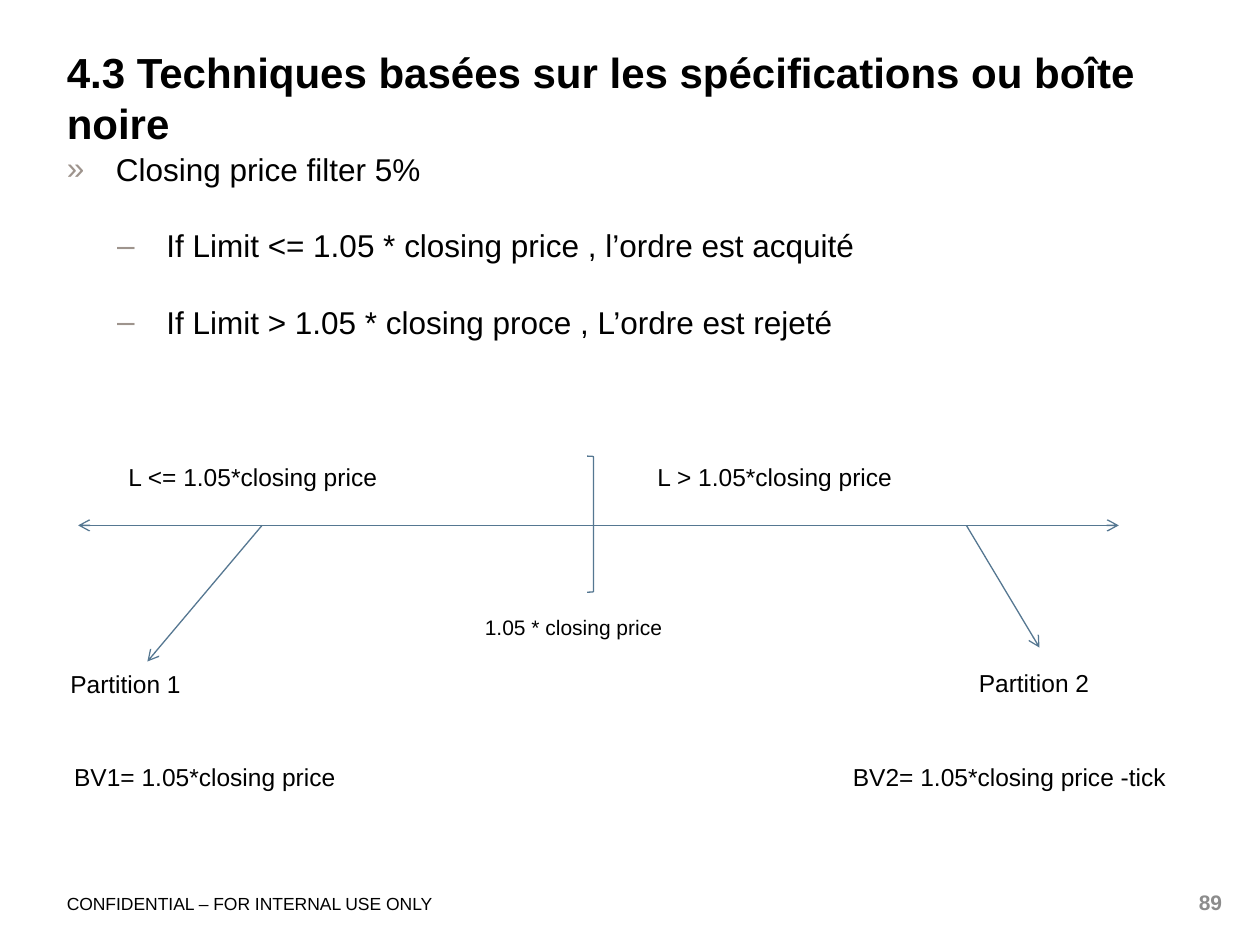
from dataclasses import dataclass

from lxml.etree import SubElement
from pptx import Presentation
from pptx.dml.color import RGBColor
from pptx.enum.shapes import MSO_CONNECTOR as Connector, MSO_SHAPE as Shape
from pptx.enum.text import MSO_ANCHOR as Anchor, MSO_AUTO_SIZE as AutoSize, PP_ALIGN as Align
from pptx.oxml.ns import qn
from pptx.util import Inches, Pt


@dataclass(frozen=True)
class Theme:
    font: str = "Arial"
    text: str = "000000"
    bullet: str = "9E948D"
    line: str = "557791"
    page_number: str = "8C8C8C"
    title_size: int = 24
    body_size: int = 18
    label_size: int = 14
    small_size: int = 12
    footer_size: int = 10
    line_width: float = 0.75


THEME = Theme()
AXIS_Y = 4.17
LABEL_HEIGHT = 0.34


def write(para, text, size=THEME.label_size, color=THEME.text, bold=False,
          align=Align.LEFT, before=0):
    """Add formatted text to a paragraph."""
    para.alignment = align
    para.space_before = Pt(before)
    span = para.add_run()
    span.text = text
    span.font.name = THEME.font
    span.font.size = Pt(size)
    span.font.bold = bold
    span.font.color.rgb = RGBColor.from_string(color)


def place(shape, left, top, width, height):
    shape.left, shape.top = Inches(left), Inches(top)
    shape.width, shape.height = Inches(width), Inches(height)


def set_frame(frame, inset=True):
    frame.word_wrap = True
    frame.auto_size = AutoSize.NONE
    frame.vertical_anchor = Anchor.TOP
    if not inset:
        frame.margin_left = frame.margin_right = 0
        frame.margin_top = frame.margin_bottom = 0


def add_label(page, text, left, top, width, height=LABEL_HEIGHT, inset=True, **style):
    box = page.shapes.add_textbox(
        Inches(left), Inches(top), Inches(width), Inches(height))
    set_frame(box.text_frame, inset)
    write(box.text_frame.paragraphs[0], text, **style)


def set_bullet(para, char, level):
    para.level = level
    props = para._p.get_or_add_pPr()
    props.set("marL", str(Inches((0.39, 0.79)[level])))
    props.set("indent", str(Inches(-0.39)))
    color = SubElement(props, qn("a:buClr"))
    SubElement(color, qn("a:srgbClr"), val=THEME.bullet)
    SubElement(props, qn("a:buFont"), typeface=THEME.font)
    SubElement(props, qn("a:buChar"), char=char)


def set_line(shape):
    shape.line.color.rgb = RGBColor.from_string(THEME.line)
    shape.line.width = Pt(THEME.line_width)


def add_arrow(page, start, end, both_ends=False):
    arrow = page.shapes.add_connector(
        Connector.STRAIGHT, *(Inches(value) for value in (*start, *end)))
    set_line(arrow)
    outline = arrow.line._get_or_add_ln()
    if both_ends:
        SubElement(outline, qn("a:headEnd"), type="arrow")
    SubElement(outline, qn("a:tailEnd"), type="arrow")
    SubElement(arrow._element.spPr, qn("a:effectLst"))


def add_bracket(page, left, top, width, height):
    bracket = page.shapes.add_shape(
        Shape.RIGHT_BRACKET, Inches(left), Inches(top), Inches(width), Inches(height))
    bracket.shadow.inherit = False
    bracket.fill.background()
    set_line(bracket)


def fill_title(title, text):
    place(title, 0.53, 0.37, 9.17, 0.79)
    set_frame(title.text_frame, inset=False)
    write(title.text_frame.paragraphs[0], text, size=THEME.title_size, bold=True)


def fill_body(body, items):
    place(body, 0.53, 1.19, 9.17, 5.81)
    frame = body.text_frame
    set_frame(frame, inset=False)
    for index, (level, char, text) in enumerate(items):
        para = frame.add_paragraph() if index else frame.paragraphs[0]
        write(para, text, size=THEME.body_size, before=22)
        set_bullet(para, char, level)


def main():
    deck = Presentation()
    deck.slide_width, deck.slide_height = Inches(10), Inches(7.5)
    page = deck.slides.add_slide(deck.slide_layouts[1])

    # Title and rules
    fill_title(page.shapes.title,
               "4.3 Techniques basées sur les spécifications ou boîte noire")
    fill_body(page.placeholders[1], [
        (0, "»", "Closing price filter 5%"),
        (1, "–", "If Limit <= 1.05 * closing price , l’ordre est acquité"),
        (1, "–", "If Limit > 1.05 * closing proce , L’ordre est rejeté"),
    ])

    # Price axis, its boundary and the arrows to the partitions
    add_arrow(page, (0.62, AXIS_Y), (8.88, AXIS_Y), both_ends=True)
    add_bracket(page, 4.66, 3.62, 0.05, 1.08)
    add_arrow(page, (2.08, AXIS_Y), (1.17, 5.25))
    add_arrow(page, (7.67, AXIS_Y), (8.25, 5.14))

    # Diagram labels
    add_label(page, "1.05 * closing price", 3.75, 4.83, 2, 0.3, size=THEME.small_size)
    for text, left, top, width in [
        ("L <= 1.05*closing price", 0.92, 3.62, 2.54),
        ("L > 1.05*closing price", 5.12, 3.62, 2.54),
        ("Partition 1", 0.46, 5.26, 1.17),
        ("Partition 2", 7.67, 5.25, 1.17),
        ("BV1= 1.05*closing price", 0.49, 6, 2.34),
        ("BV2= 1.05*closing price -tick", 6.67, 6, 2.75),
    ]:
        add_label(page, text, left, top, width)

    # Footer
    add_label(page, "CONFIDENTIAL – FOR INTERNAL USE ONLY", 0.53, 7.09, 4.42, 0.2,
              inset=False, size=THEME.footer_size)
    add_label(page, "89", 9.31, 7.06, 0.39, 0.2, inset=False, size=THEME.small_size,
              color=THEME.page_number, bold=True, align=Align.RIGHT)

    deck.save("out.pptx")


if __name__ == "__main__":
    main()
